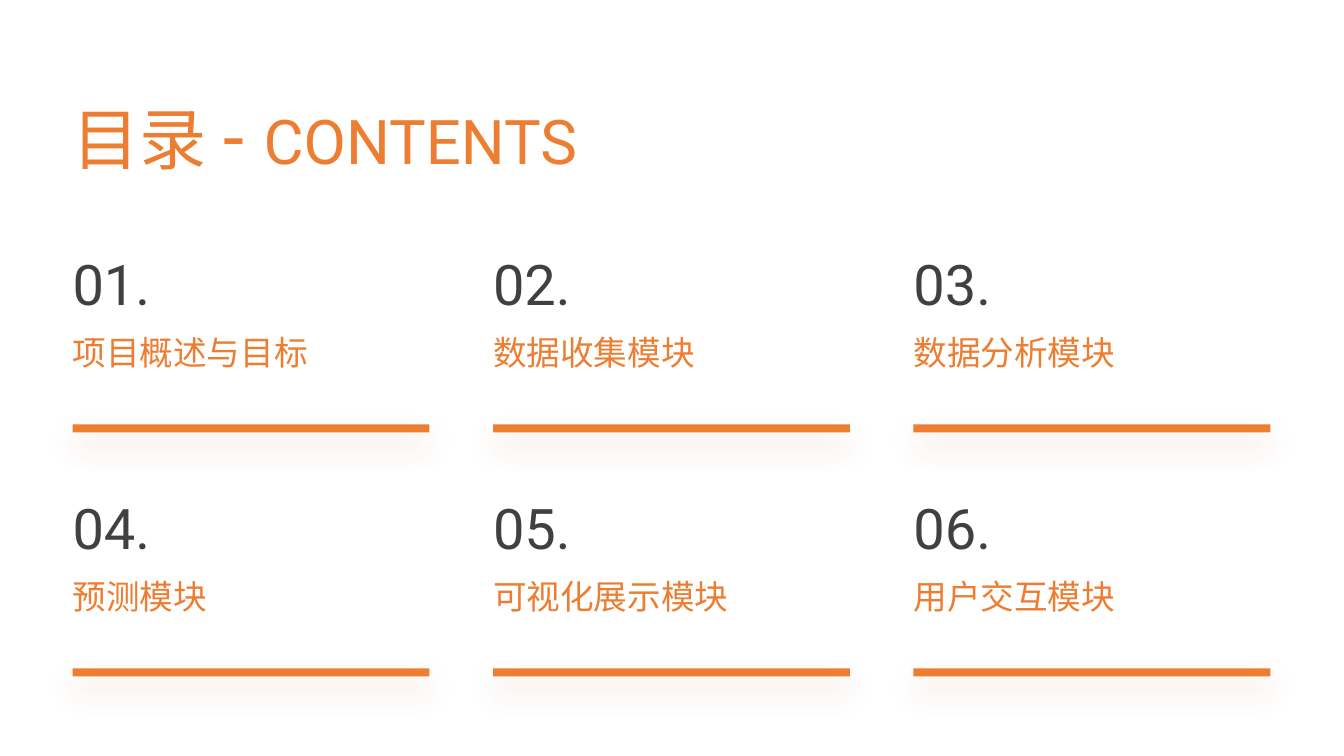
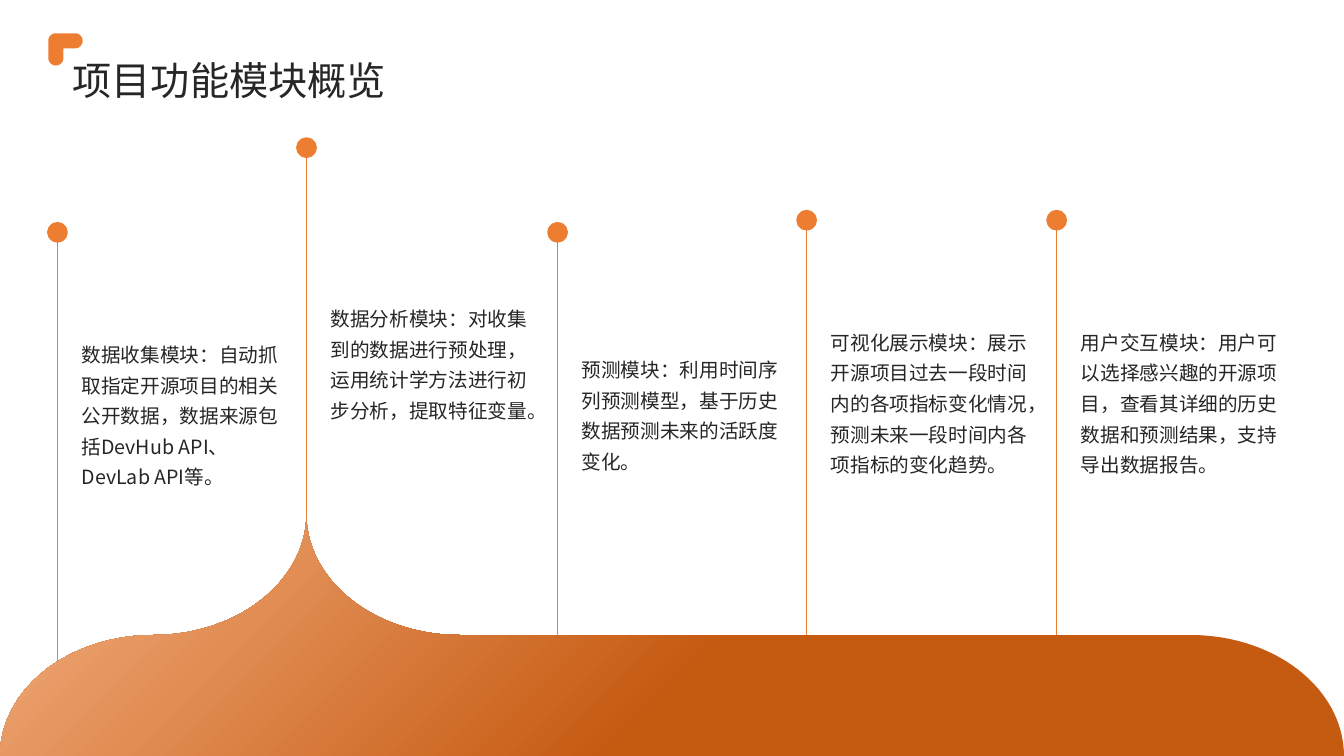
import math

from lxml import etree
from pptx import Presentation
from pptx import util as u
from pptx.dml import color as dml
from pptx.enum import lang, shapes, text
from pptx.oxml import ns

COLORS = {
    "orange": "ED7D31",
    "dark_orange": "C55A11",
    "light_orange": "F4B183",
    "gray": "404040",
    "ink": "262626",
}
LATIN = "Roboto"
CHINESE = "Noto Sans CJK SC"
MARGIN = 0.72
SLIDE_WIDTH, SLIDE_HEIGHT = 13.33, 7.5

CONTENTS = [
    "项目概述与目标",
    "数据收集模块",
    "数据分析模块",
    "预测模块",
    "可视化展示模块",
    "用户交互模块",
]

MODULES = [
    (0.57, 2.23, 3.66, "数据收集模块：自动抓取指定开源项目的相关公开数据，数据来源包括DevHub API、DevLab API等。"),
    (3.04, 1.39, 4.33, "数据分析模块：对收集到的数据进行预处理，运用统计学方法进行初步分析，提取特征变量。"),
    (5.53, 2.23, 3.66, "预测模块：利用时间序列预测模型，基于历史数据预测未来的活跃度变化。"),
    (8.00, 2.11, 3.66, "可视化展示模块：展示开源项目过去一段时间内的各项指标变化情况，预测未来一段时间内各项指标的变化趋势。"),
    (10.48, 2.11, 3.66, "用户交互模块：用户可以选择感兴趣的开源项目，查看其详细的历史数据和预测结果，支持导出数据报告。"),
]


def rgb(name):
    return dml.RGBColor.from_string(COLORS[name])


def add_element(parent, tag, **attributes):
    element = etree.SubElement(parent, ns.qn(tag))
    for key, value in attributes.items():
        element.set(key, str(value))
    return element


def add_color(parent, name):
    return add_element(parent, "a:srgbClr", val=COLORS[name])


def add_text(slide, box, runs, color, font=LATIN, spacing=None, middle=False):
    shape = slide.shapes.add_textbox(*map(u.Inches, box))
    frame = shape.text_frame
    frame.word_wrap = True
    frame.margin_left = frame.margin_right = frame.margin_top = frame.margin_bottom = 0
    frame.vertical_anchor = text.MSO_ANCHOR.MIDDLE if middle else text.MSO_ANCHOR.TOP
    paragraph = frame.paragraphs[0]
    if spacing:
        paragraph.line_spacing = spacing
    for words, size in runs:
        run = paragraph.add_run()
        run.text = words
        run.font.size = u.Pt(size)
        run.font.color.rgb = rgb(color)
        run.font.name = font
        run.font.language_id = lang.MSO_LANGUAGE_ID.SIMPLIFIED_CHINESE
        add_element(run.font._element, "a:ea", typeface=CHINESE)


def fill_plain(shape, color):
    shape.shadow.inherit = False
    shape.fill.solid()
    shape.fill.fore_color.rgb = rgb(color)
    shape.line.fill.background()


def add_shape(slide, kind, box, color="orange"):
    shape = slide.shapes.add_shape(kind, *map(u.Inches, box))
    fill_plain(shape, color)
    return shape


def add_underline(slide, box):
    bar = add_shape(slide, shapes.MSO_SHAPE.RECTANGLE, box)
    effects = bar._element.spPr.find(ns.qn("a:effectLst"))
    shadow = add_element(effects, "a:outerShdw", blurRad=u.Pt(20), dist=u.Pt(10),
                         dir=90 * 60000, algn="t", rotWithShape=0)
    add_element(add_color(shadow, "dark_orange"), "a:alpha", val=20000)


def add_contents_entry(slide, left, top, width, number, title):
    add_text(slide, (left, top, width, 0.64), [(f"{number:02d}.", 40)], "gray")
    add_text(slide, (left, top + 0.69, width, 1), [(title, 24)], "orange", spacing=1.3)
    add_underline(slide, (left, top + 1.73, width, 0.08))


def add_stem(slide, x, top, length):
    stem = slide.shapes.add_connector(
        shapes.MSO_CONNECTOR.STRAIGHT,
        *map(u.Inches, (x, top, x, top + length)))
    stem.line.color.rgb = rgb("orange")
    stem.line.width = u.Pt(0.75)
    add_element(stem._element.spPr, "a:effectLst")


def add_module(slide, x, top, height, description):
    size = 0.15
    add_stem(slide, x, top + 0.13, 4.33)
    dot = add_shape(slide, shapes.MSO_SHAPE.OVAL, (x - size / 2, top, size, size))
    dot.line.color.rgb = rgb("orange")
    dot.line.width = u.Pt(4)
    add_text(slide, (x + 0.24, top + 0.03, 1.96, height), [(description, 14)],
             "ink", CHINESE, 1.3, True)


def add_wave(slide):
    height = 2.4
    box = ((SLIDE_WIDTH - height) / 2, SLIDE_HEIGHT - (SLIDE_WIDTH + height) / 2,
           height, SLIDE_WIDTH)
    wave = add_shape(slide, shapes.MSO_SHAPE.LEFT_BRACE, box)
    wave.adjustments[0] = 1.025
    wave.adjustments[1] = 0.228
    wave.rotation = 270
    properties = wave._element.spPr
    properties.xfrm.set("flipH", "1")
    solid = properties.find(ns.qn("a:solidFill"))
    gradient = etree.Element(ns.qn("a:gradFill"), rotWithShape="1")
    stops = add_element(gradient, "a:gsLst")
    for position, color in ((0, "light_orange"), (54, "dark_orange")):
        add_color(add_element(stops, "a:gs", pos=position * 1000), color)
    circle = add_element(gradient, "a:path", path="circle")
    add_element(circle, "a:fillToRect", r=100000, b=100000)
    properties.replace(solid, gradient)


def arc(x, y, radius, start, end, steps=16):
    angles = [math.radians(start + (end - start) * i / steps) for i in range(steps + 1)]
    return [(x + radius * math.cos(a), y + radius * math.sin(a)) for a in angles]


def add_corner_mark(slide, left, top, width, height, thickness):
    radius = thickness / 2
    x, y = left + radius, top + radius
    points = [
        *arc(left + width - radius, y, radius, -90, 90),
        (left + thickness, top + thickness),
        *arc(x, top + height - radius, radius, 0, 180),
        *arc(x, y, radius, 180, 270),
    ]
    points = [(u.Inches(px), u.Inches(py)) for px, py in points]
    builder = slide.shapes.build_freeform(*points[0])
    builder.add_line_segments(points[1:], close=True)
    fill_plain(builder.convert_to_shape(), "orange")


def build_contents(slide):
    add_text(slide, (MARGIN, 0.88, 7.04, 0.91),
             [("目录", 48), (" - ", 54), ("CONTENTS", 44)], "orange", middle=True)
    columns, width = 3, 3.54
    column_step = (SLIDE_WIDTH - 2 * MARGIN - width) / (columns - 1)
    column_step = round(column_step, 2) + 0.06 - 0.07 * 0 if column_step < 4.1 else 4.17
    for index, title in enumerate(CONTENTS):
        row, column = divmod(index, columns)
        add_contents_entry(slide, MARGIN + column * column_step, 2.48 + row * 2.42,
                           width, index + 1, title)


def build_modules(slide):
    for module in MODULES:
        add_module(slide, *module)
    add_wave(slide)
    add_text(slide, (MARGIN, 0.51, 11.67, 0.51), [("项目功能模块概览", 28)],
             "ink", CHINESE, 1.1, True)
    add_corner_mark(slide, 0.48, 0.33, 0.34, 0.32, 0.15)


def main():
    presentation = Presentation()
    presentation.slide_width = u.Inches(SLIDE_WIDTH)
    presentation.slide_height = u.Inches(SLIDE_HEIGHT)
    for build in (build_contents, build_modules):
        build(presentation.slides.add_slide(presentation.slide_layouts[6]))
    presentation.save("out.pptx")


if __name__ == "__main__":
    main()
